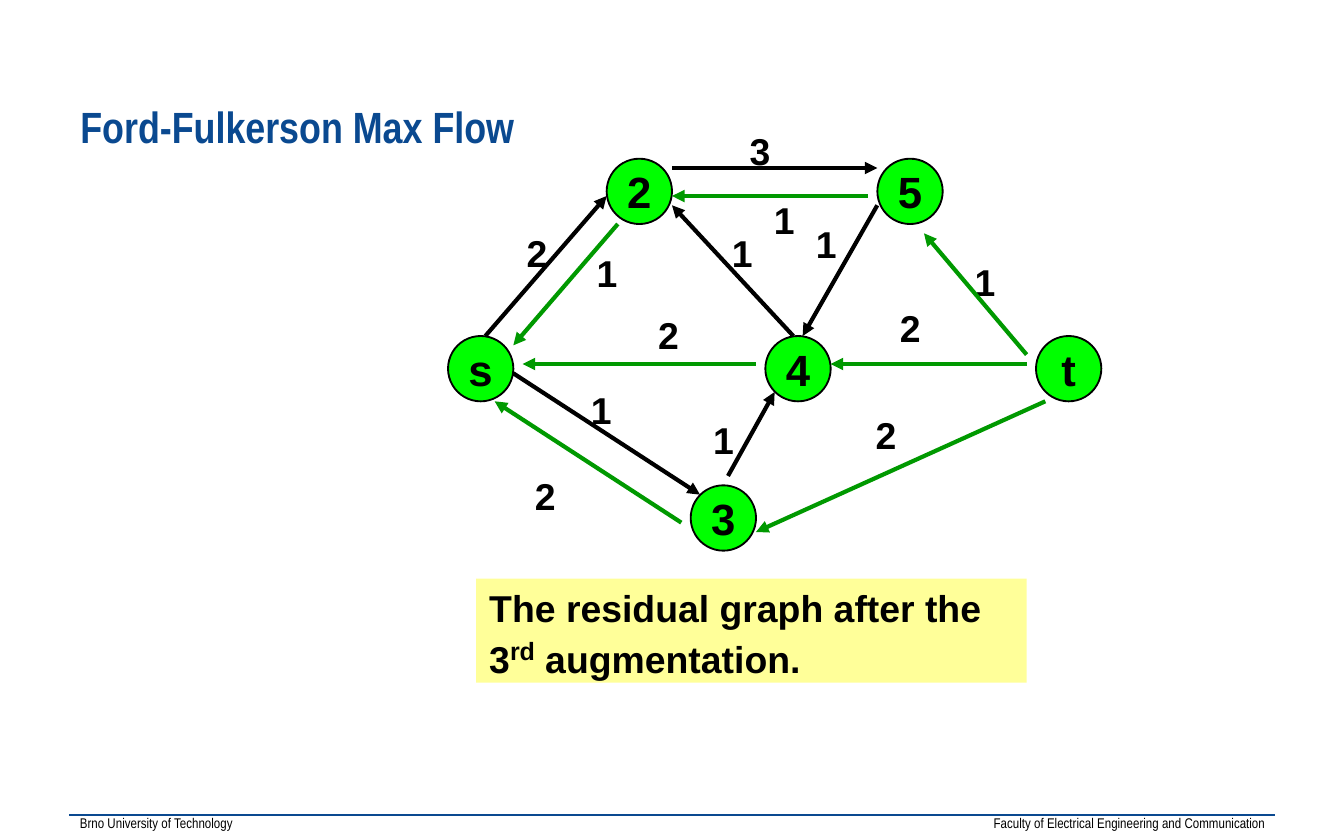
from lxml import etree
from pptx import Presentation
from pptx.dml.color import RGBColor
from pptx.enum import shapes as sh, text as tx
from pptx.oxml import ns
from pptx.util import Pt

BLUE = RGBColor(0x0A, 0x49, 0x90)
BLACK = RGBColor(0, 0, 0)
LIME = RGBColor(0, 0xFF, 0)
GREEN = RGBColor(0, 0x99, 0)
YELLOW = RGBColor(0xFF, 0xFF, 0x99)
LEFT, MID, RIGHT = tx.PP_ALIGN.LEFT, tx.PP_ALIGN.CENTER, tx.PP_ALIGN.RIGHT

prs = Presentation()
prs.slide_width, prs.slide_height = Pt(720), Pt(450)
slide = prs.slides.add_slide(prs.slide_layouts[6])


def write(shape, runs, font="Arial", color=BLACK, bold=True, align=LEFT,
          middle=False, wrap=True):
    """Fill a shape with one paragraph of (text, size, baseline) runs."""
    frame = shape.text_frame
    frame.word_wrap = wrap
    frame.vertical_anchor = tx.MSO_ANCHOR.MIDDLE if middle else tx.MSO_ANCHOR.TOP
    para = frame.paragraphs[0]
    para.alignment = align
    for words, size, base in runs:
        run = para.add_run()
        run.text = words
        run.font.name, run.font.size, run.font.bold = font, Pt(size), bold
        run.font.color.rgb = color
        if base:
            run.font._element.set("baseline", str(base * 1000))
    return frame


def draw(x1, y1, x2, y2, color, width, arrow=True):
    """Draw a straight line, with an arrowhead at its end if wanted."""
    line = slide.shapes.add_connector(
        sh.MSO_CONNECTOR.STRAIGHT, Pt(x1), Pt(y1), Pt(x2), Pt(y2))
    line.line.color.rgb, line.line.width = color, Pt(width)
    if arrow:
        ln = line.line._get_or_add_ln()
        etree.SubElement(ln, ns.qn("a:tailEnd"), type="triangle")
    etree.SubElement(line._element.spPr, ns.qn("a:effectLst"))


# Footer
for words, left, width, align in [
        ("Brno University of Technology", 37, 345.5, LEFT),
        ("Faculty of Electrical Engineering and Communication", 366, 317.5, RIGHT)]:
    box = slide.shapes.add_textbox(Pt(left), Pt(433.5), Pt(width), Pt(15))
    frame = write(box, [(words, 7.5, 0)], "Arial Narrow", bold=False, align=align)
    frame.margin_left = frame.margin_right = Pt(5.8)
    frame.margin_top = frame.margin_bottom = Pt(2.9)
draw(37, 436.5, 683, 436.5, BLUE, 1, False)

# Title
box = slide.shapes.add_textbox(Pt(36), Pt(45.5), Pt(648), Pt(44))
write(box, [("Ford-Fulkerson Max Flow", 23.4, 0)], "Arial Narrow", BLUE, middle=True)

# Edge capacities
caps = [
    ("3", 394.5, 65), ("1", 515, 135.5), ("1", 430, 115), ("2", 475, 160),
    ("2", 462, 217.5), ("1", 375, 220), ("2", 345.5, 163.5), ("2", 275, 120),
    ("1", 309.5, 204), ("1", 385, 120), ("2", 279.5, 250), ("1", 312.5, 130.5),
    ("1", 407.5, 102),
]
for cap, x, y in caps:
    box = slide.shapes.add_textbox(Pt(x), Pt(y), Pt(35), Pt(31.5))
    write(box, [(cap, 20, 0)])

# Nodes
nodes = [("s", 240, 180), ("2", 325, 85), ("4", 410, 180),
         ("5", 470, 85), ("3", 370, 260), ("t", 555, 180)]
for name, x, y in nodes:
    node = slide.shapes.add_shape(sh.MSO_SHAPE.OVAL, Pt(x), Pt(y), Pt(35), Pt(35))
    node.shadow.inherit = False
    node.fill.solid()
    node.fill.fore_color.rgb = LIME
    node.line.color.rgb, node.line.width = BLACK, Pt(1)
    write(node, [(name, 23.4, 0)], align=MID, middle=True, wrap=False)

# Forward edges in black, backward edges in green
ahead = [
    (275, 200, 375, 265), (260, 180, 325, 105), (425, 180, 360, 110),
    (360, 90, 470, 90), (470, 110, 430, 180), (390, 255, 415, 210),
]
back = [
    (365, 280, 265, 215), (331, 120, 275, 185), (405, 195, 280, 195),
    (465, 105, 360, 105), (560, 215, 405, 285), (550, 190, 495, 125),
    (550, 195, 445, 195),
]
for color, edges in [(BLACK, ahead), (GREEN, back)]:
    for edge in edges:
        draw(*edge, color, 2.25)

# Caption
note = slide.shapes.add_shape(
    sh.MSO_SHAPE.RECTANGLE, Pt(255), Pt(310), Pt(295), Pt(55.75))
note.shadow.inherit = False
note.fill.solid()
note.fill.fore_color.rgb = YELLOW
note.line.fill.background()
write(note, [("The residual graph after the 3", 20, 0), ("rd", 23.1, 30),
             (" augmentation.", 20, 0)])

prs.save("out.pptx")
